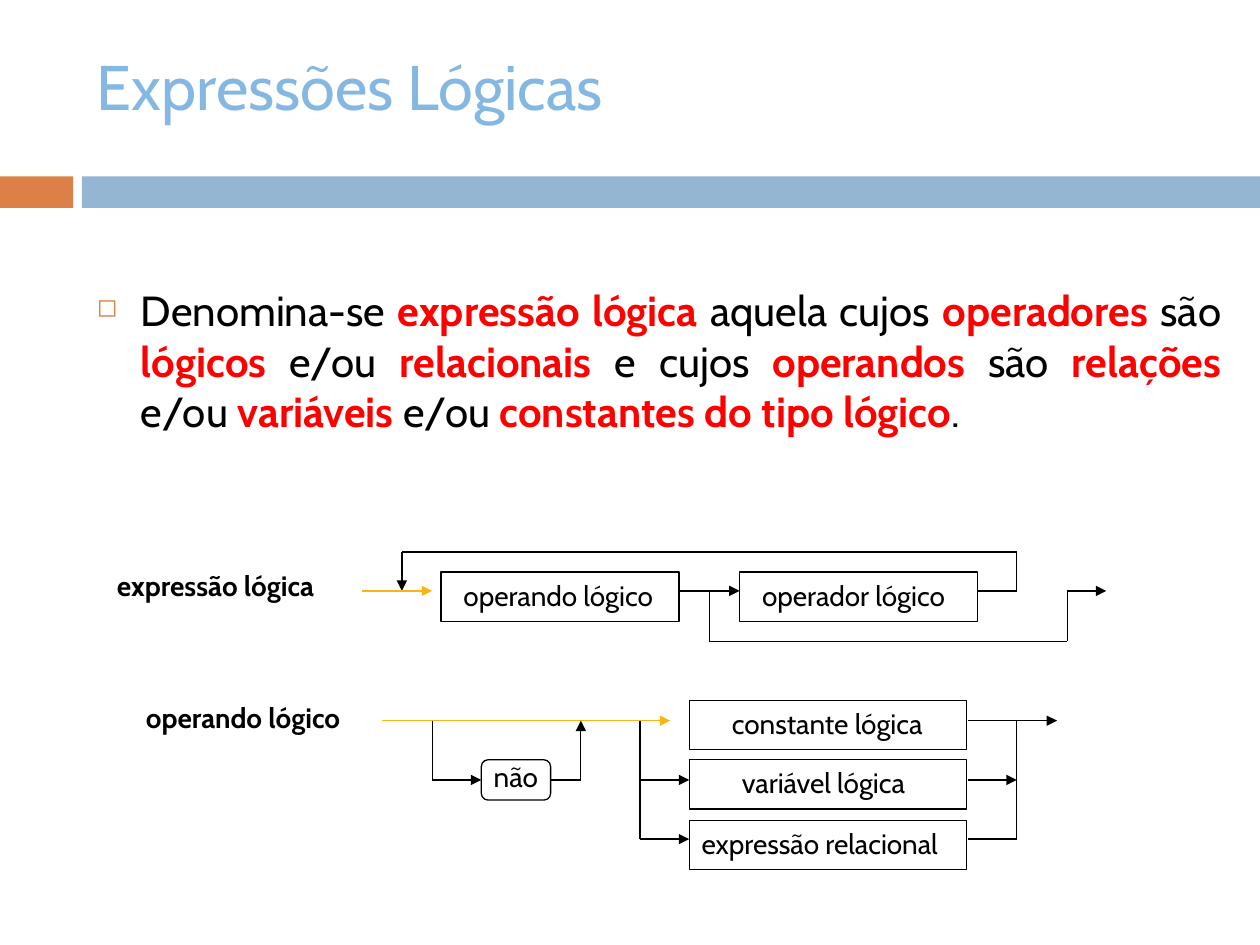
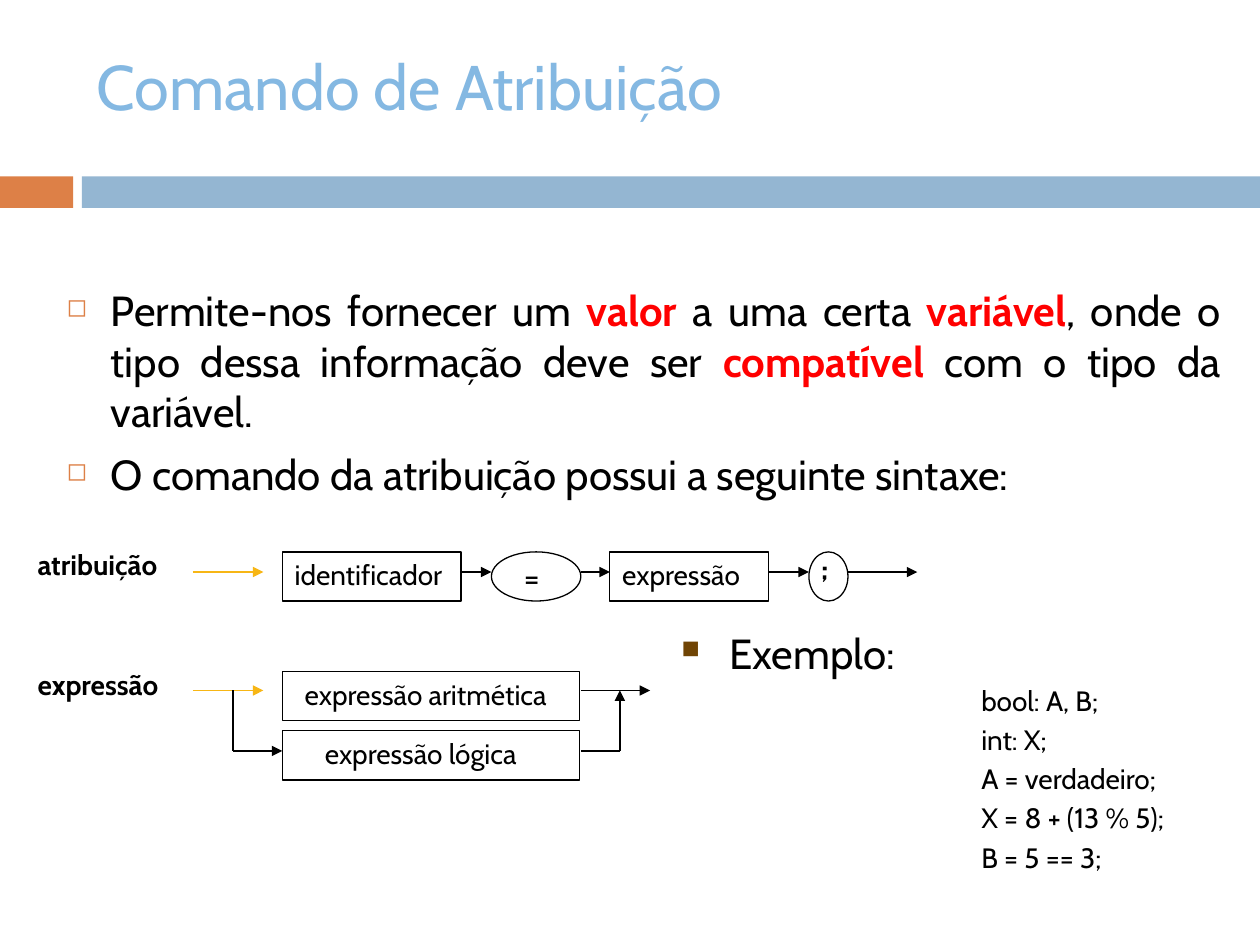
from dataclasses import dataclass
from itertools import pairwise

from lxml.etree import SubElement
from pptx import Presentation
from pptx.dml.color import RGBColor
from pptx.enum.shapes import MSO_CONNECTOR, MSO_SHAPE
from pptx.enum.text import MSO_ANCHOR, PP_ALIGN
from pptx.oxml.ns import qn
from pptx.util import Inches, Pt

# Shared look
FONT = "Cabin"
BLACK, WHITE, RED = "000000", "FFFFFF", "FF0000"
TITLE_BLUE, BAND_BLUE, ORANGE = "84B8E2", "94B6D2", "DD8047"
ENTRY_YELLOW, BROWN = "F7B615", "704404"
BOX_HEIGHT = 0.39
LABEL_HEIGHT = 0.37


@dataclass
class Box:
    left: float
    top: float
    width: float
    height: float = BOX_HEIGHT
    kind: MSO_SHAPE = MSO_SHAPE.RECTANGLE
    text: str = ""


@dataclass
class Label:
    text: str
    left: float
    top: float
    width: float
    bold: bool = False


@dataclass
class Route:
    """A path of straight lines; the arrowhead sits at its last point."""
    points: list[tuple[float, float]]
    arrow: bool = True
    color: str = BLACK


def rgb(value: str) -> RGBColor:
    return RGBColor.from_string(value)


def style(paragraph, size: float, color: str = BLACK, bold: bool = False) -> None:
    font = paragraph.font
    font.name, font.size, font.bold = FONT, Pt(size), bold
    font.color.rgb = rgb(color)


def add_text_frame(slide, left: float, top: float, width: float, height: float):
    box = slide.shapes.add_textbox(Inches(left), Inches(top), Inches(width), Inches(height))
    box.text_frame.word_wrap = True
    return box.text_frame


def set_indent(paragraph, margin: float, bullet: str = "", color: str = BLACK) -> None:
    properties = paragraph._p.get_or_add_pPr()
    properties.set("marL", str(Inches(margin)))
    if bullet:
        properties.set("indent", str(-Inches(margin)))
        bullet_color = SubElement(properties, qn("a:buClr"))
        SubElement(bullet_color, qn("a:srgbClr"), val=color)
        SubElement(properties, qn("a:buSzPct"), val="60000")
        SubElement(properties, qn("a:buChar"), char=bullet)


def add_shape(slide, box: Box, fill: str, line: str | None = None):
    shape = slide.shapes.add_shape(box.kind, Inches(box.left), Inches(box.top),
                                   Inches(box.width), Inches(box.height))
    shape.shadow.inherit = False
    shape.fill.solid()
    shape.fill.fore_color.rgb = rgb(fill)
    if line:
        shape.line.color.rgb = rgb(line)
        shape.line.width = Pt(0.75)
    else:
        shape.line.fill.background()
    return shape


def add_box(slide, box: Box) -> None:
    shape = add_shape(slide, box, WHITE, BLACK)
    if box.text:
        frame = shape.text_frame
        frame.vertical_anchor = MSO_ANCHOR.MIDDLE
        paragraph = frame.paragraphs[0]
        paragraph.text = box.text
        paragraph.alignment = PP_ALIGN.LEFT
        style(paragraph, 18)


def add_route(slide, route: Route) -> None:
    for start, end in pairwise(route.points):
        line = slide.shapes.add_connector(MSO_CONNECTOR.STRAIGHT,
                                          *(Inches(v) for v in (*start, *end)))
        line.line.color.rgb = rgb(route.color)
        line.line.width = Pt(0.75)
        if route.arrow and end == route.points[-1]:
            SubElement(line.line._get_or_add_ln(), qn("a:tailEnd"), type="triangle")
        SubElement(line._element.spPr, qn("a:effectLst"))


def add_label(slide, label: Label) -> None:
    frame = add_text_frame(slide, label.left, label.top, label.width, LABEL_HEIGHT)
    frame.paragraphs[0].text = label.text
    style(frame.paragraphs[0], 16, bold=label.bold)


def add_diagram(slide, boxes: list[Box], routes: list[Route], labels: list[Label]) -> None:
    for box in boxes:
        add_box(slide, box)
    for route in routes:
        add_route(slide, route)
    for label in labels:
        add_label(slide, label)


def add_body(slide, left: float, width: float, height: float, items: list[str]) -> None:
    """Bulleted text; words between asterisks are red and bold."""
    frame = add_text_frame(slide, left, 2.21, width, height)
    for index, item in enumerate(items):
        paragraph = frame.add_paragraph() if index else frame.paragraphs[0]
        paragraph.alignment = PP_ALIGN.JUSTIFY
        paragraph.space_before = Pt(7)
        set_indent(paragraph, 0.35, "◻", ORANGE)
        style(paragraph, 24)
        for position, piece in enumerate(item.split("*")):
            run = paragraph.add_run()
            run.text = piece
            if position % 2:
                run.font.bold = True
                run.font.color.rgb = rgb(RED)


def new_slide(deck, title: str):
    slide = deck.slides.add_slide(deck.slide_layouts[6])
    add_shape(slide, Box(0, 1.4, 0.58, 0.25), ORANGE)
    add_shape(slide, Box(0.65, 1.4, 9.35, 0.25), BAND_BLUE)
    frame = add_text_frame(slide, 0.67, 0.25, 8.92, 1.08)
    frame.vertical_anchor = MSO_ANCHOR.MIDDLE
    frame.margin_bottom = Inches(0.28)
    frame.paragraphs[0].text = title
    style(frame.paragraphs[0], 36, TITLE_BLUE)
    return slide


def build_logical_expressions(deck) -> None:
    slide = new_slide(deck, "Expressões Lógicas")
    add_body(slide, 0.67, 9.12, 1.78, [
        "Denomina-se *expressão lógica *aquela cujos *operadores* são *lógicos *e/ou "
        "*relacionais* e cujos *operandos* são *relações* e/ou *variáveis* e/ou "
        "*constantes do tipo lógico*."])

    expression_y, loop_y, exit_y = 4.69, 4.38, 5.09
    constant_y, variable_y, relation_y = 5.72, 6.19, 6.66
    option_tops = [5.56, 6.03, 6.51]
    fork, join = 5.08, 8.07
    boxes = [Box(left, 4.54, 1.89) for left in (3.5, 5.87)]
    boxes += [Box(5.47, top, 2.2) for top in option_tops]
    boxes.append(Box(3.82, 6.03, 0.55, 0.32, MSO_SHAPE.ROUNDED_RECTANGLE))
    routes = [
        # Logical expression
        Route([(5.39, expression_y), (5.87, expression_y)]),
        Route([(7.76, expression_y), (join, expression_y), (join, loop_y),
               (3.19, loop_y), (3.19, expression_y)]),
        Route([(2.87, expression_y), (3.43, expression_y)], color=ENTRY_YELLOW),
        Route([(5.63, expression_y), (5.63, exit_y), (8.47, exit_y),
               (8.47, expression_y), (8.78, expression_y)]),
        # Logical operand
        Route([(3.03, constant_y), (5.32, constant_y)], color=ENTRY_YELLOW),
        Route([(3.43, constant_y), (3.43, variable_y), (3.82, variable_y)]),
        Route([(4.37, variable_y), (4.61, variable_y), (4.61, constant_y)]),
        Route([(fork, constant_y), (fork, relation_y), (5.47, relation_y)]),
        Route([(fork, variable_y), (5.47, variable_y)]),
        Route([(7.68, constant_y), (8.39, constant_y)]),
        Route([(7.68, variable_y), (join, variable_y)]),
        Route([(7.68, relation_y), (join, relation_y), (join, constant_y)], arrow=False),
    ]
    labels = [
        Label("operando lógico", 3.58, 4.54, 1.81),
        Label("operador lógico", 5.95, 4.54, 1.81),
        Label("constante lógica", 5.71, option_tops[0], 1.81),
        Label("variável lógica", 5.79, option_tops[1], 1.73),
        Label("expressão relacional", 5.47, option_tops[2], 2.2),
        Label("não", 3.82, 5.98, 0.71),
        Label("expressão lógica", 0.83, 4.46, 2.16, bold=True),
        Label("operando lógico", 1.06, 5.51, 2.16, bold=True),
    ]
    add_diagram(slide, boxes, routes, labels)


def build_assignment(deck) -> None:
    slide = new_slide(deck, "Comando de Atribuição")
    add_body(slide, 0.43, 9.36, 1.86, [
        "Permite-nos fornecer um *valor* a uma certa *variável*, onde o tipo dessa "
        "informação deve ser *compatível* com o tipo da variável.",
        "O comando da atribuição possui a seguinte sintaxe:"])

    assignment_y, arithmetic_y, logical_y = 4.54, 5.48, 5.96
    boxes = [
        Box(2.24, 4.38, 1.42),
        Box(4.84, 4.38, 1.26),
        Box(3.9, 4.38, 0.71, kind=MSO_SHAPE.OVAL, text=" ="),
        Box(6.42, 4.38, 0.31, kind=MSO_SHAPE.OVAL),
        Box(2.24, 5.33, 2.36),
        Box(2.24, 5.8, 2.36),
    ]
    gaps = [(3.66, 3.9), (4.61, 4.84), (6.1, 6.42), (6.73, 7.28)]
    routes = [Route([(start, assignment_y), (end, assignment_y)]) for start, end in gaps]
    routes += [Route([(1.53, y), (2.09, y)], color=ENTRY_YELLOW)
               for y in (assignment_y, arithmetic_y)]
    routes += [
        Route([(4.61, arithmetic_y), (5.16, arithmetic_y)]),
        Route([(1.85, arithmetic_y), (1.85, logical_y), (2.24, logical_y)]),
        Route([(4.61, logical_y), (4.92, logical_y), (4.92, arithmetic_y)]),
    ]
    labels = [
        Label("identificador", 2.24, 4.38, 1.42),
        Label("expressão", 4.84, 4.38, 1.26),
        Label(";", 6.42, 4.33, 0.3, bold=True),
        Label("expressão aritmética", 2.32, 5.33, 2.28),
        Label("expressão lógica", 2.48, 5.8, 2.28),
        Label("atribuição", 0.2, 4.3, 1.42, bold=True),
        Label("expressão", 0.2, 5.25, 1.34, bold=True),
    ]
    add_diagram(slide, boxes, routes, labels)

    # Example code
    frame = add_text_frame(slide, 5.31, 4.93, 4.5, 2.33)
    heading = frame.paragraphs[0]
    heading.text = "Exemplo:"
    set_indent(heading, 0.38, "■", BROWN)
    style(heading, 24)
    for code in ("bool: A, B;", "int: X;", "A = verdadeiro;", "X = 8 + (13 % 5);", "B = 5 == 3;"):
        paragraph = frame.add_paragraph()
        paragraph.text = code
        paragraph.space_before = Pt(3.2)
        set_indent(paragraph, 2.38)
        style(paragraph, 16)
    for paragraph in frame.paragraphs:
        paragraph.alignment = PP_ALIGN.JUSTIFY


deck = Presentation()
deck.slide_width, deck.slide_height = Inches(10), Inches(7.5)
build_logical_expressions(deck)
build_assignment(deck)
deck.save("out.pptx")
